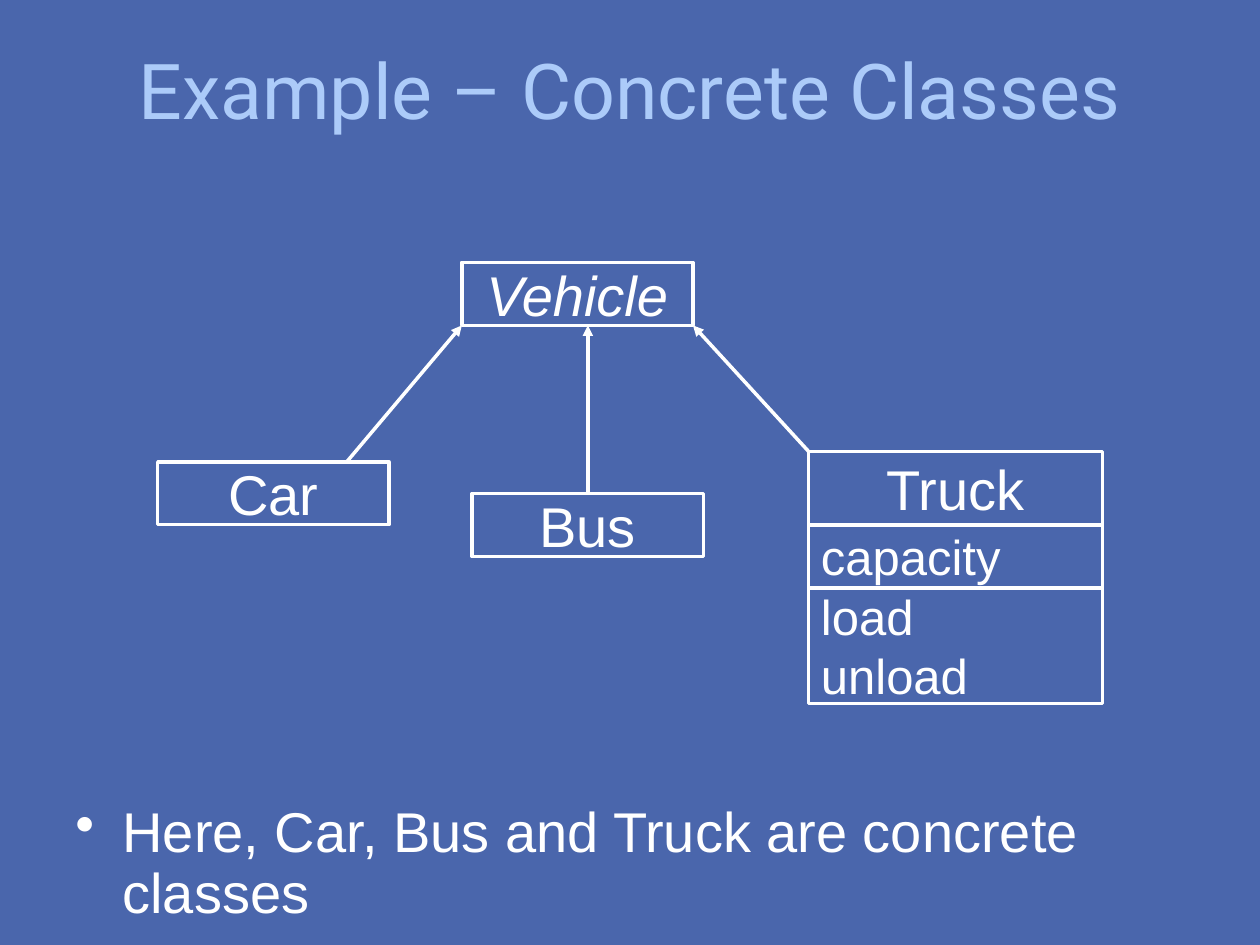
from dataclasses import dataclass

from lxml import etree
from pptx import Presentation
from pptx.dml.color import RGBColor
from pptx.enum.shapes import MSO_CONNECTOR, MSO_SHAPE
from pptx.enum.text import MSO_ANCHOR, PP_ALIGN
from pptx.oxml.ns import qn
from pptx.util import Cm, Pt

BACKGROUND = RGBColor(0x4A, 0x66, 0xAC)
TITLE_BLUE = RGBColor(0xAC, 0xCB, 0xF9)
WHITE = RGBColor(0xFF, 0xFF, 0xFF)
RECTANGLE = MSO_SHAPE.RECTANGLE
STRAIGHT = MSO_CONNECTOR.STRAIGHT
LEFT, CENTER = PP_ALIGN.LEFT, PP_ALIGN.CENTER
TOP, MIDDLE = MSO_ANCHOR.TOP, MSO_ANCHOR.MIDDLE
TOP_SIDE = 0
LINE_WIDTH = Pt(2)


@dataclass(frozen=True)
class ClassBox:
    """One compartment of a class diagram; lengths are centimetres."""
    lines: tuple[str, ...]
    left: float
    top: float
    width: float = 4.66
    height: float = 1.27
    size: int = 32
    align: PP_ALIGN = CENTER
    italic: bool = False

    @property
    def right(self) -> float:
        return self.left + self.width

    @property
    def bottom(self) -> float:
        return self.top + self.height


def write(frame, *lines: str, size: int, font: str = "Arial",
          color: RGBColor = WHITE, align: PP_ALIGN = LEFT,
          anchor: MSO_ANCHOR = MIDDLE, italic: bool = False,
          bullet: bool = False, line_spacing: float | None = None) -> None:
    frame.word_wrap = True
    frame.vertical_anchor = anchor
    for index, line in enumerate(lines):
        paragraph = frame.paragraphs[0] if index == 0 else frame.add_paragraph()
        paragraph.alignment = align
        paragraph.line_spacing = line_spacing
        if bullet:
            properties = paragraph._p.get_or_add_pPr()
            properties.set("marL", str(Cm(0.95)))
            properties.set("indent", str(-Cm(0.95)))
            etree.SubElement(properties, qn("a:buChar")).set("char", "•")
        run = paragraph.add_run()
        run.text = line
        run.font.name = font
        run.font.size = Pt(size)
        run.font.italic = italic
        run.font.color.rgb = color


def draw_box(slide, box: ClassBox):
    shape = slide.shapes.add_shape(RECTANGLE, Cm(box.left), Cm(box.top),
                                   Cm(box.width), Cm(box.height))
    shape.shadow.inherit = False
    shape.fill.background()
    shape.line.color.rgb = WHITE
    shape.line.width = LINE_WIDTH
    write(shape.text_frame, *box.lines, size=box.size, align=box.align,
          italic=box.italic)
    return shape


def draw_inheritance(slide, start: tuple[float, float],
                     end: tuple[float, float]):
    """Draw an arrow from a subclass to its superclass."""
    arrow = slide.shapes.add_connector(STRAIGHT, *map(Cm, start + end))
    arrow.line.color.rgb = WHITE
    arrow.line.width = LINE_WIDTH
    etree.SubElement(arrow.line._get_or_add_ln(),
                     qn("a:tailEnd")).set("type", "triangle")
    etree.SubElement(arrow._element.spPr, qn("a:effectLst"))
    return arrow


VEHICLE = ClassBox(("Vehicle",), 9.31, 5.29, italic=True)
CAR = ClassBox(("Car",), 3.18, 9.31)
BUS = ClassBox(("Bus",), 9.52, 9.95)
TRUCK = ClassBox(("Truck",), 16.3, 9.1, width=5.93, height=1.48)
ATTRIBUTES = ClassBox(("capacity",), TRUCK.left, TRUCK.bottom,
                      width=TRUCK.width, size=28, align=LEFT)
OPERATIONS = ClassBox(("load", "unload"), TRUCK.left, ATTRIBUTES.bottom,
                      width=TRUCK.width, height=2.33, size=28, align=LEFT)


def main() -> None:
    presentation = Presentation()
    presentation.slide_width = Cm(25.4)
    presentation.slide_height = Cm(19.05)
    slide = presentation.slides.add_slide(presentation.slide_layouts[5])
    slide.background.fill.solid()
    slide.background.fill.fore_color.rgb = BACKGROUND

    title = slide.shapes.title
    title.left, title.top = Cm(1.27), Cm(0.2)
    title.width, title.height = Cm(22.86), Cm(3.18)
    write(title.text_frame, "Example – Concrete Classes", size=44,
          font="Roboto", color=TITLE_BLUE, align=CENTER)

    remark = slide.shapes.add_textbox(Cm(1.27), Cm(16.09), Cm(22.86), Cm(2.75))
    write(remark.text_frame, "Here, Car, Bus and Truck are concrete classes",
          size=32, anchor=TOP, bullet=True, line_spacing=0.9)

    for box in (VEHICLE, CAR, TRUCK, ATTRIBUTES, OPERATIONS):
        draw_box(slide, box)
    bus = draw_box(slide, BUS)

    bus_center = BUS.left + BUS.width / 2
    draw_inheritance(slide, (6.99, CAR.top), (VEHICLE.left, VEHICLE.bottom))
    draw_inheritance(slide, (TRUCK.left, TRUCK.top),
                     (VEHICLE.right, VEHICLE.bottom))
    bus_arrow = draw_inheritance(slide, (bus_center, BUS.top),
                                 (bus_center, VEHICLE.bottom))
    bus_arrow.begin_connect(bus, TOP_SIDE)

    presentation.save("out.pptx")


if __name__ == "__main__":
    main()
